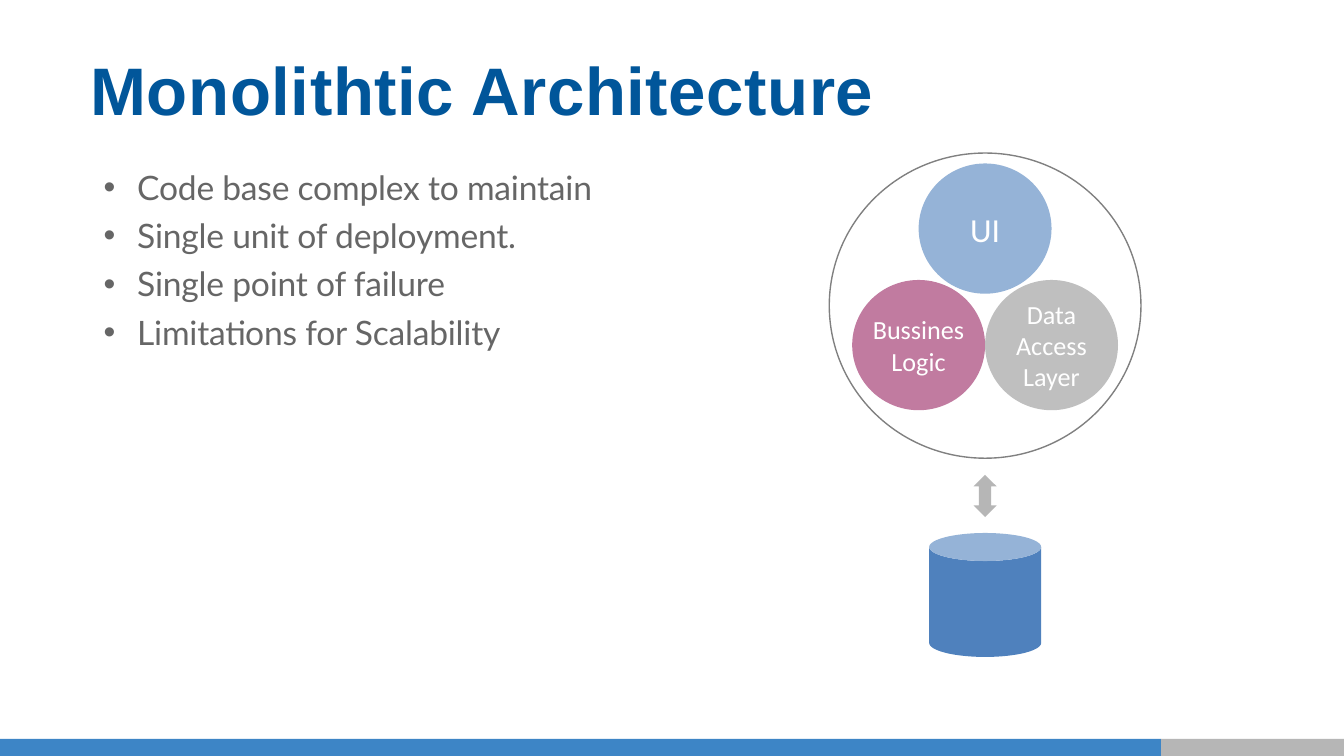
"""Build the monolithic architecture slide with its bullets and diagram."""
from dataclasses import dataclass

import pptx
import pptx.dml.color
import pptx.enum.shapes
import pptx.enum.text
import pptx.oxml.ns
import pptx.util
from lxml import etree

Pt = pptx.util.Pt
SHAPES = pptx.enum.shapes.MSO_SHAPE
ANCHOR = pptx.enum.text.MSO_ANCHOR
ALIGN = pptx.enum.text.PP_ALIGN

SLIDE_WIDTH, SLIDE_HEIGHT = 720, 405
AXIS = 527.75
MODULE_WIDTH, MODULE_HEIGHT = 71.2, 69.8
BULLETS = (
    "Code base complex to maintain",
    "Single unit of deployment.",
    "Single point of failure",
    "Limitations for Scalability",
)


@dataclass(frozen=True)
class Box:
    """Position and size in points."""
    left: float
    top: float
    width: float
    height: float


@dataclass(frozen=True)
class Module:
    """A labelled circle, placed by its distance from the diagram axis."""
    label: str
    offset: float
    top: float
    fill: str
    size: float


MODULES = (
    Module("UI", 0, 87.6, "95B3D7", 18),
    Module("Bussines Logic", -MODULE_WIDTH / 2, 150, "C17BA0", 14),
    Module("Data\nAccess Layer", MODULE_WIDTH / 2, 150, "BFBFBF", 14),
)


def color(value: str) -> pptx.dml.color.RGBColor:
    """Turn a hex string into a colour."""
    return pptx.dml.color.RGBColor.from_string(value)


def centered(width: float, top: float, height: float, offset: float = 0) -> Box:
    """Return a box centred on the diagram axis, shifted by the offset."""
    return Box(AXIS + offset - width / 2, top, width, height)


def place(shape, box: Box) -> None:
    """Move and size a shape."""
    shape.left, shape.top = Pt(box.left), Pt(box.top)
    shape.width, shape.height = Pt(box.width), Pt(box.height)


def add_shape(slide, kind, box: Box, fill: str | None = None, line: str | None = None):
    """Add a preset shape with an optional fill and outline."""
    shape = slide.shapes.add_shape(
        kind, Pt(box.left), Pt(box.top), Pt(box.width), Pt(box.height))
    shape.shadow.inherit = False
    if fill:
        shape.fill.solid()
        shape.fill.fore_color.rgb = color(fill)
    else:
        shape.fill.background()
    if line:
        shape.line.color.rgb = color(line)
        shape.line.width = Pt(0.75)
    else:
        shape.line.fill.background()
    return shape


def set_frame(text_frame, anchor, top_inset: float = 0) -> None:
    """Set wrapping, anchor and insets of a text frame."""
    text_frame.word_wrap = True
    text_frame.auto_size = pptx.enum.text.MSO_AUTO_SIZE.NONE
    text_frame.vertical_anchor = anchor
    text_frame.margin_left = text_frame.margin_right = text_frame.margin_bottom = 0
    text_frame.margin_top = Pt(top_inset)


def format_runs(paragraph, name: str, size: float, value: str,
                bold: bool = False, spacing: float = 0) -> None:
    """Format every run of a paragraph, with letter spacing in points."""
    for run in paragraph.runs:
        run.font.name, run.font.size, run.font.bold = name, Pt(size), bold
        run.font.color.rgb = color(value)
        if spacing:
            run.font._element.set("spc", str(round(spacing * 100)))


def add_bullet(paragraph) -> None:
    """Give a paragraph a round bullet with a hanging indent."""
    properties = paragraph._p.get_or_add_pPr()
    properties.set("marL", str(Pt(18.5)))
    properties.set("indent", str(Pt(-18)))
    bullet = etree.SubElement(properties, pptx.oxml.ns.qn("a:buChar"))
    bullet.set("char", "•")


def fill_title(title) -> None:
    """Write the slide title."""
    place(title, Box(48.5, 24, 474, 45))
    set_frame(title.text_frame, ANCHOR.BOTTOM)
    title.text_frame.text = "Monolithtic Architecture"
    paragraph = title.text_frame.paragraphs[0]
    paragraph.alignment = ALIGN.LEFT
    format_runs(paragraph, "Arial", 36, "01569A", bold=True, spacing=0.3)


def fill_body(body) -> None:
    """Write the bullet list."""
    place(body, Box(55, 88.5, 293, 100))
    set_frame(body.text_frame, ANCHOR.TOP, 1)
    body.text_frame.text = "\n".join(BULLETS)
    for index, paragraph in enumerate(body.text_frame.paragraphs):
        paragraph.space_before = Pt(4.2 if index else 0)
        add_bullet(paragraph)
        format_runs(paragraph, "Lato", 18, "666666", spacing=-0.1)


def add_module(slide, module: Module) -> None:
    """Draw one module circle with its label."""
    box = centered(MODULE_WIDTH, module.top, MODULE_HEIGHT, module.offset)
    circle = add_shape(slide, SHAPES.OVAL, box, module.fill)
    set_frame(circle.text_frame, ANCHOR.MIDDLE)
    circle.text_frame.text = module.label
    for paragraph in circle.text_frame.paragraphs:
        paragraph.alignment = ALIGN.CENTER
        format_runs(paragraph, "Calibri", module.size, "FFFFFF")


def add_diagram(slide) -> None:
    """Draw the application, its modules and the database."""
    arrow = add_shape(slide, SHAPES.UP_DOWN_ARROW, centered(12.4, 254.4, 22.6), "B6B6B6")
    arrow.adjustments[0], arrow.adjustments[1] = 0.5, 0.53
    add_shape(slide, SHAPES.OVAL, centered(167, 82, 163.5), line="808080")
    for module in MODULES:
        add_module(slide, module)
    add_shape(slide, SHAPES.CAN, centered(60, 285.6, 66.4), "4F81BD")


def main() -> None:
    """Build and save the presentation."""
    presentation = pptx.Presentation()
    presentation.slide_width, presentation.slide_height = Pt(SLIDE_WIDTH), Pt(SLIDE_HEIGHT)
    slide = presentation.slides.add_slide(presentation.slide_layouts[1])
    fill_title(slide.shapes.title)
    fill_body(slide.placeholders[1])
    bar_top, split = 395.8, 622
    bar_height = SLIDE_HEIGHT - bar_top
    add_shape(slide, SHAPES.RECTANGLE, Box(0, bar_top, split, bar_height), "3D85C6")
    add_shape(slide, SHAPES.RECTANGLE,
              Box(split, bar_top, SLIDE_WIDTH - split, bar_height), "B6B6B6")
    add_diagram(slide)
    presentation.save("out.pptx")


if __name__ == "__main__":
    main()
